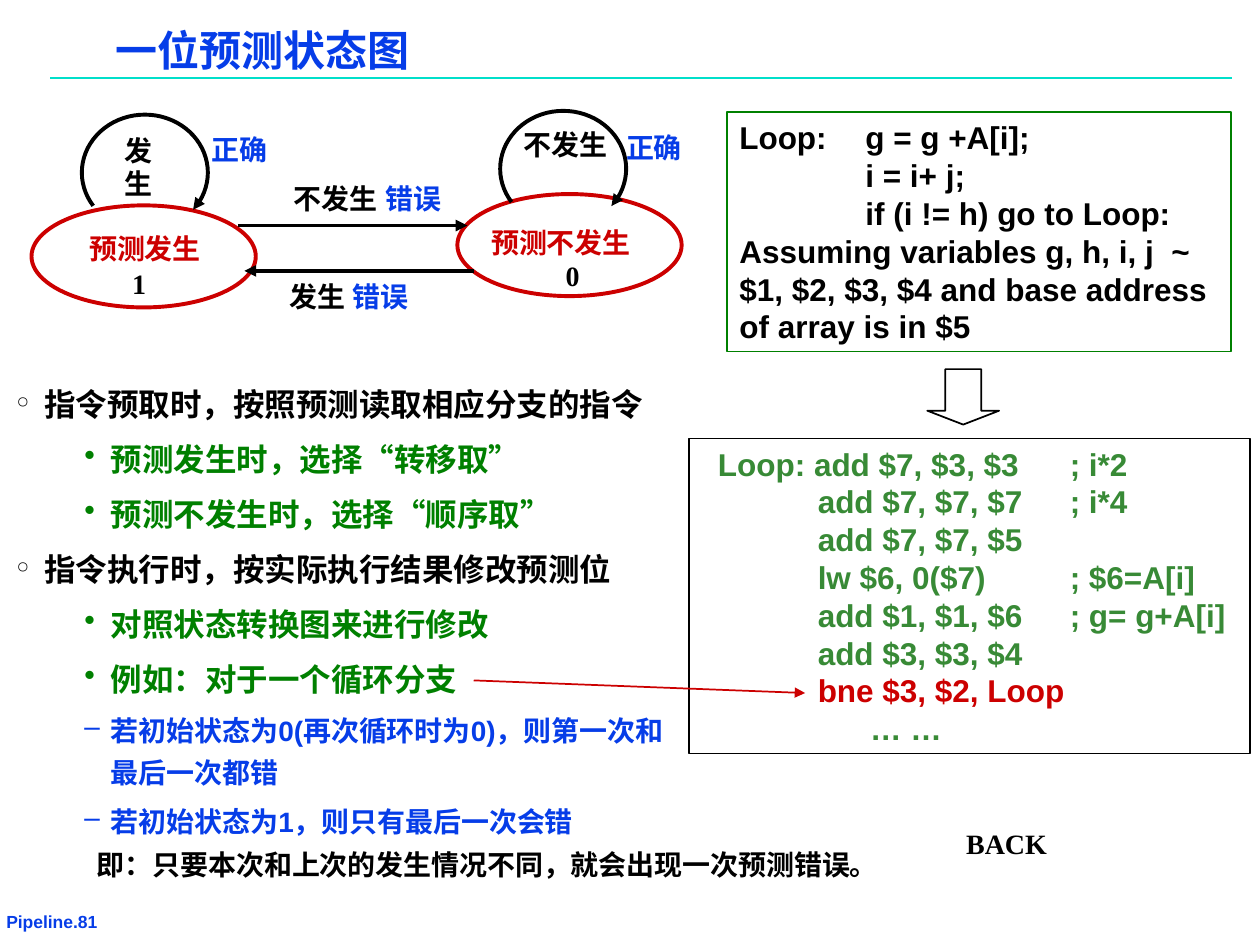
import math
import pptx
import pptx.util
import pptx.dml.color
import pptx.enum.shapes
import pptx.oxml.ns
from lxml import etree

Inches = pptx.util.Inches
Pt = pptx.util.Pt
SHAPE = pptx.enum.shapes.MSO_SHAPE
HUES = {"black": "000000", "red": "CC0000", "blue": "063DE8", "green": "008000",
        "code": "388A36", "teal": "00DFCA"}
SERIF, SANS = "Times New Roman", "Arial"

LABELS = [
    (0.61, 1.79, 1.27, "预测发生", "red"),
    (0.89, 1.01, 0.63, "发生", "black"),
    (4.06, 0.96, 0.9, "不发生", "black"),
    (3.8, 1.74, 1.45, "预测不发生", "red"),
    (2.23, 1.39, 0.97, "不发生", "black"),
    (2.2, 2.17, 0.81, "发生", "black"),
    (0.95, 2.07, 0.63, "1", "black"),
    (4.39, 2, 0.63, "0", "black"),
    (1.58, 1, 0.81, "正确", "blue"),
    (2.96, 1.39, 0.81, "错误", "blue"),
    (2.7, 2.17, 0.81, "错误", "blue"),
    (4.87, 0.99, 0.81, "正确", "blue"),
    (0.67, 6.68, 6.9, "即：只要本次和上次的发生情况不同，就会出现一次预测错误。", "black"),
    (7.57, 6.51, 1.06, "BACK", "black"),
]

LEVELS = {
    "top": ("°", 0.22, -0.22, 18, 4.5, "black"),
    "sub": ("•", 0.75, -0.21, 18, 4.5, "green"),
    "dash": ("–", 0.75, -0.21, 16, 4, "blue"),
}
POINTS = [
    ("top", "指令预取时，按照预测读取相应分支的指令"),
    ("sub", "预测发生时，选择“转移取”"),
    ("sub", "预测不发生时，选择“顺序取”"),
    ("top", "指令执行时，按实际执行结果修改预测位"),
    ("sub", "对照状态转换图来进行修改"),
    ("sub", "例如：对于一个循环分支"),
    ("dash", "若初始状态为0(再次循环时为0)，则第一次和最后一次都错"),
    ("dash", "若初始状态为1，则只有最后一次会错"),
]

SOURCE = [
    "Loop:\tg = g +A[i];",
    "\ti = i+ j;",
    "\tif (i != h) go to Loop:",
    "Assuming variables g, h, i, j  ~ $1, $2, $3, $4 and base address",
    "of array is in $5",
]
ASSEMBLY = [
    "   Loop: add $7, $3, $3\t; i*2",
    "\tadd $7, $7, $7\t; i*4",
    "\tadd $7, $7, $5",
    "\tlw $6, 0($7)\t; $6=A[i]",
    "\tadd $1, $1, $6\t; g= g+A[i]",
    "\tadd $3, $3, $4",
    "\tbne $3, $2, Loop",
    "\t      … …",
]


def color(name):
    return pptx.dml.color.RGBColor.from_string(HUES[name])


def add(node, tag, **attrs):
    return etree.SubElement(node, pptx.oxml.ns.qn(tag), attrs)


def style(para, size, face, hue):
    for run in para.runs:
        run.font.size = Pt(size)
        run.font.name = face
        run.font.bold = True
        run.font.color.rgb = color(hue)


def frame(shape, side, edge):
    body = shape.text_frame
    body.word_wrap = True
    body.margin_left = body.margin_right = Inches(side)
    body.margin_top = body.margin_bottom = Inches(edge)
    return body


def label(slide, x, y, w, h, text, size, face, hue, side=0.1, edge=0.05):
    box = slide.shapes.add_textbox(Inches(x), Inches(y), Inches(w), Inches(h))
    body = frame(box, side, edge)
    body.text = text
    style(body.paragraphs[0], size, face, hue)
    return body


def outline(shape, hue, width):
    shape.shadow.inherit = False
    shape.fill.background()
    shape.line.color.rgb = color(hue)
    shape.line.width = Pt(width)


def figure(slide, kind, x, y, w, h, hue, width):
    shape = slide.shapes.add_shape(kind, Inches(x), Inches(y), Inches(w), Inches(h))
    outline(shape, hue, width)
    return shape


def arrow(shape):
    add(shape.line._get_or_add_ln(), "a:tailEnd", type="triangle")


def link(slide, x1, y1, x2, y2, hue, width):
    line = slide.shapes.add_connector(
        pptx.enum.shapes.MSO_CONNECTOR.STRAIGHT,
        Inches(x1), Inches(y1), Inches(x2), Inches(y2))
    line.line.color.rgb = color(hue)
    line.line.width = Pt(width)
    add(line._element.spPr, "a:effectLst")
    return line


def loop(slide, x, y):
    dots = []
    for deg in range(145, 401, 5):
        turn = math.radians(deg)
        dots.append((Inches(x + 0.5 * math.cos(turn)), Inches(y + 0.46 * math.sin(turn))))
    path = slide.shapes.build_freeform(*dots[0])
    path.add_line_segments(dots[1:], close=False)
    shape = path.convert_to_shape()
    outline(shape, "black", 2.25)
    arrow(shape)


def bullets(slide):
    box = slide.shapes.add_textbox(Inches(0.06), Inches(2.95), Inches(5.47), Inches(4.16))
    body = frame(box, 0.07, 0.03)
    body.text = "\n".join(text for _, text in POINTS)
    for num, (para, (level, _)) in enumerate(zip(body.paragraphs, POINTS)):
        mark, left, hang, size, gap, hue = LEVELS[level]
        props = para._p.get_or_add_pPr()
        props.set("marL", str(Inches(left)))
        props.set("indent", str(Inches(hang)))
        add(add(props, "a:buClr"), "a:srgbClr", val=HUES[hue])
        add(props, "a:buChar", char=mark)
        para.level = 0 if level == "top" else 1
        para.line_spacing = 1.25
        if num:
            para.space_before = Pt(gap)
        style(para, size, SANS, hue)


def code(slide, x, y, w, h, lines, edge, hue, left):
    shape = figure(slide, SHAPE.RECTANGLE, x, y, w, h, edge, 1)
    body = frame(shape, 0.1, 0.05)
    body.margin_left = Inches(left)
    body.vertical_anchor = pptx.enum.text.MSO_ANCHOR.TOP
    body.text = "\n".join(lines)
    for para in body.paragraphs:
        para.alignment = pptx.enum.text.PP_ALIGN.LEFT
        tabs = add(para._p.get_or_add_pPr(), "a:tabLst")
        for stop in range(1, 5):
            add(tabs, "a:tab", pos=str(Inches(stop)), algn="l")
        style(para, 18, SANS, "red" if "bne" in para.text else hue)


def main():
    deck = pptx.Presentation()
    deck.slide_width, deck.slide_height = Inches(10), Inches(7.5)
    slide = deck.slides.add_slide(deck.slide_layouts[6])

    label(slide, 0, 7.2, 1.36, 0.22, "Pipeline.81", 10, SANS, "blue", 0.05, 0.03)
    link(slide, 0.4, 0.62, 9.78, 0.62, "teal", 1)
    title = label(slide, 0.85, 0.22, 7.51, 0.4, "一位预测状态图", 24, SANS, "blue", 0.07, 0.03)
    title.paragraphs[0].line_spacing = 0.87
    bullets(slide)

    for x, y in ((0.25, 1.63), (3.63, 1.54)):
        figure(slide, SHAPE.OVAL, x, y, 1.78, 0.81, "red", 2.25)
    for x, y in ((1.15, 1.37), (4.47, 1.34)):
        loop(slide, x, y)
    arrow(link(slide, 1.89, 1.79, 3.71, 1.79, "black", 2.25))
    arrow(link(slide, 3.76, 2.15, 1.94, 2.15, "black", 2.25))

    code(slide, 5.47, 3.48, 4.45, 2.5, ASSEMBLY, "black", "code", 0.02)
    code(slide, 5.77, 0.89, 4, 1.9, SOURCE, "green", "black", 0.1)
    down = figure(slide, SHAPE.DOWN_ARROW, 7.36, 2.93, 0.57, 0.44, "black", 1)
    down.adjustments[1] = 0.25
    arrow(link(slide, 3.76, 5.4, 6.39, 5.5, "red", 1))
    for x, y, w, text, hue in LABELS:
        label(slide, x, y, w, 0.64 if w < 0.64 and len(text) > 1 else 0.37,
              text, 16, SERIF, hue)

    deck.save("out.pptx")


if __name__ == "__main__":
    main()
